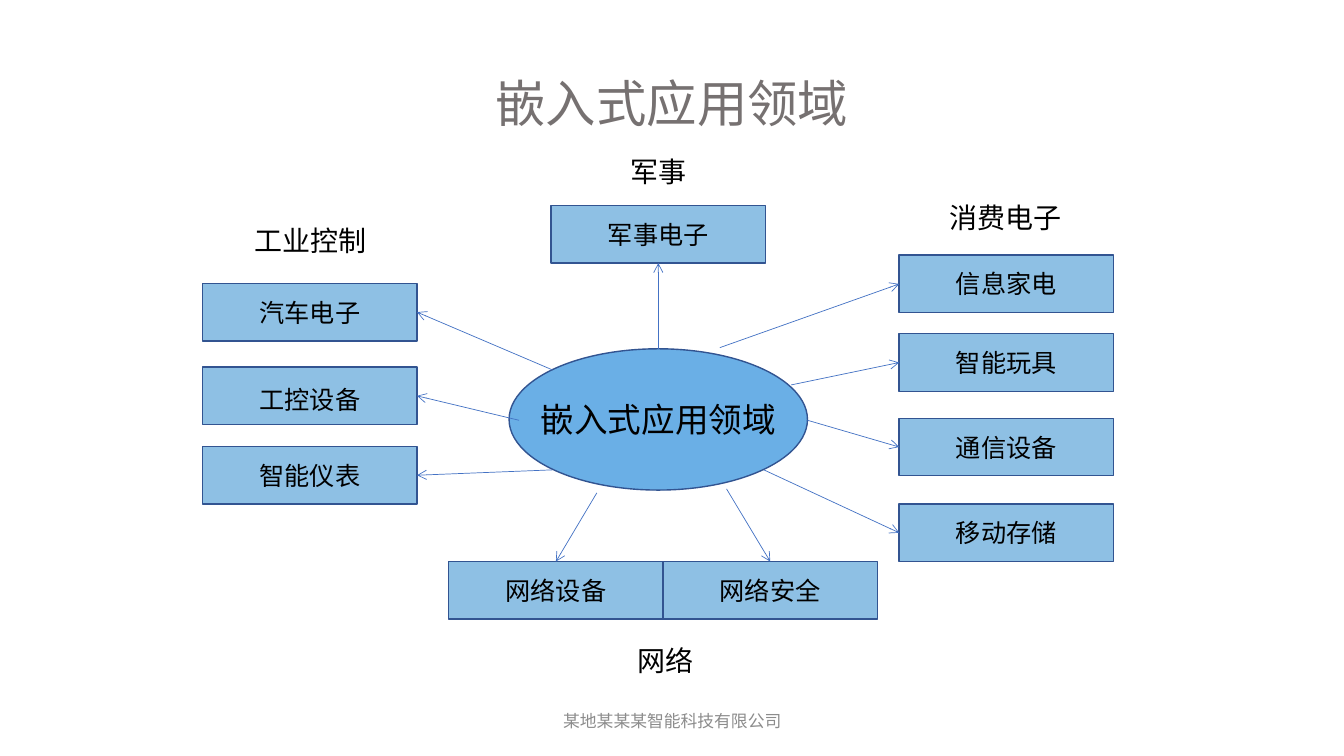
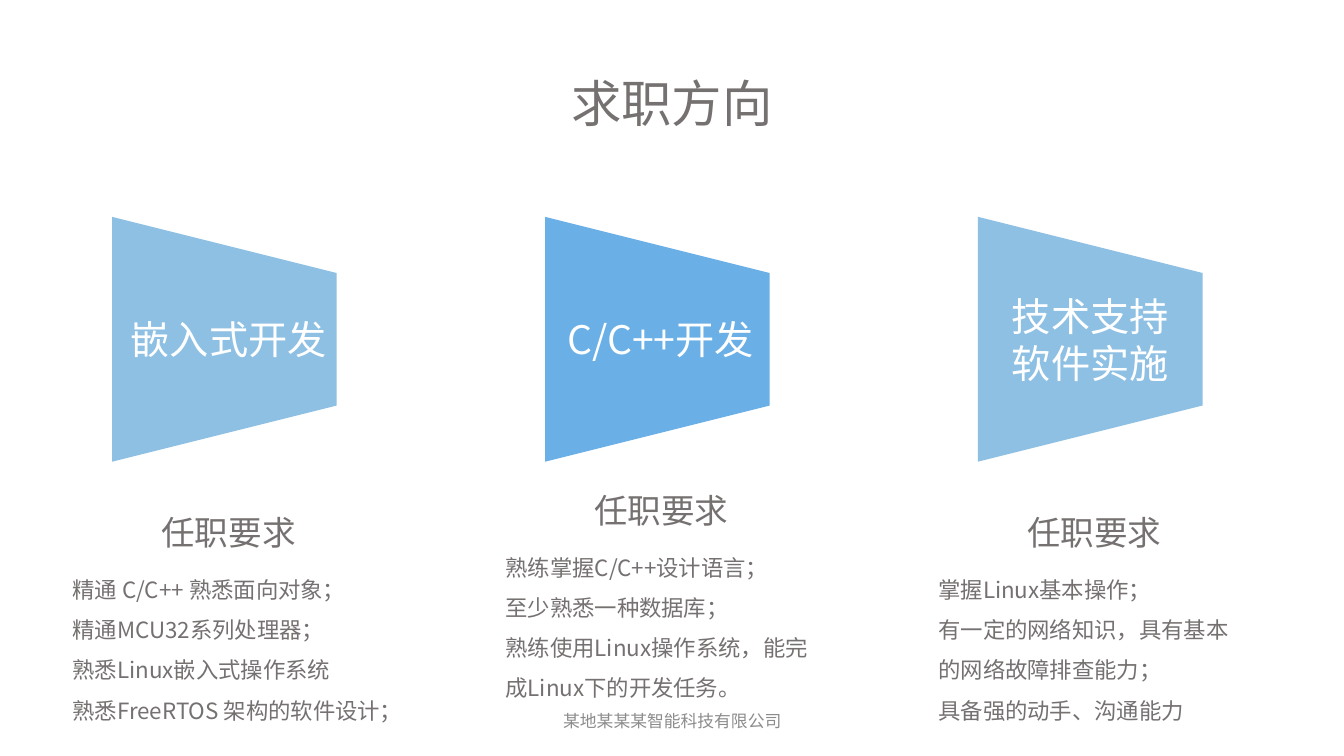
from lxml import etree
from pptx import Presentation
from pptx.dml.color import RGBColor
from pptx.enum.shapes import MSO_CONNECTOR, MSO_SHAPE
from pptx.enum.text import MSO_ANCHOR, PP_ALIGN
from pptx.oxml.ns import qn
from pptx.util import Cm, Pt

LEFT, CENTER, RIGHT = PP_ALIGN.LEFT, PP_ALIGN.CENTER, PP_ALIGN.RIGHT
TOP, MIDDLE = MSO_ANCHOR.TOP, MSO_ANCHOR.MIDDLE
RECTANGLE, ELLIPSE, TRAPEZOID = MSO_SHAPE.RECTANGLE, MSO_SHAPE.OVAL, MSO_SHAPE.TRAPEZOID
STRAIGHT = MSO_CONNECTOR.STRAIGHT
# Connection sites of a rectangle
SITE_TOP, SITE_LEFT, SITE_BOTTOM, SITE_RIGHT = range(4)

# Shared style, lengths in cm
FONT = "Noto Sans CJK SC"
GREY, FOOTER_GREY, BLACK, WHITE = "767171", "8C8C8C", "000000", "FFFFFF"
SKY, BLUE, OUTLINE, ARROW = "8EC0E4", "6AAFE6", "325491", "4472C4"
PAGE_W, PAGE_H = 33.87, 19.05
TITLE_TOP, TITLE_H = 1.7, 1.8
FOOTER_AT = (11.23, 17.65, 11.43, 1.02)
FOOTER = "某地某某某智能科技有限公司"

# Content of the field map
FIELDS_TITLE = "嵌入式应用领域"
HUB_AT = (12.83, 8.79, 7.52, 3.56)
BOX_W, BOX_H = 5.4, 1.45
HEADING_W, HEADING_H = 4.5, 1.12
# heading, its centre and top, arrow site, boxes: (text, left, top, arrow start, text drop)
FIELDS = [
    ("工业控制", 7.82, 5.51, SITE_RIGHT, [
        ("汽车电子", 5.11, 7.14, (13.92, 9.32), 0),
        ("工控设备", 5.11, 9.25, (13.08, 10.59), 0.18),
        ("智能仪表", 5.11, 11.25, (13.92, 11.84), 0)]),
    ("军事", 16.6, 3.78, SITE_BOTTOM, [
        ("军事电子", 13.89, 5.18, (16.59, 8.79), 0)]),
    ("网络", 16.78, 16.08, SITE_TOP, [
        ("网络设备", 11.31, 14.15, (15.04, 12.42), 0),
        ("网络安全", 11.31 + BOX_W, 14.15, (18.31, 12.32), 0)]),
    ("消费电子", 25.35, 4.93, SITE_LEFT, [
        ("信息家电", 22.66, 6.43, (18.14, 8.76), 0),
        ("智能玩具", 22.66, 8.41, (19.94, 9.7), 0),
        ("通信设备", 22.66, 10.54, (20.35, 10.59), 0),
        ("移动存储", 22.66, 12.7, (19.25, 11.84), 0)]),
]

# Content of the job columns
JOBS_TITLE = "求职方向"
REQUIREMENTS = "任职要求"
COLUMN_LEFT, COLUMN_PITCH = 2.57, 10.91
TRAPEZOID_TOP, TRAPEZOID_W, TRAPEZOID_H = 5.72, 6.17, 5.66
# name lines, colour, name shift, top of requirements, text width, requirements
JOBS = [
    (["嵌入式开发"], SKY, 0.11, 12.78, 10.11, [
        "精通 C/C++ 熟悉面向对象；",
        "精通MCU32系列处理器；",
        "熟悉Linux嵌入式操作系统",
        "熟悉FreeRTOS 架构的软件设计；"]),
    (["C/C++开发"], BLUE, 0.08, 12.22, 8.15, [
        "熟练掌握C/C++设计语言；",
        "至少熟悉一种数据库；",
        "熟练使用Linux操作系统，能完成Linux下的开发任务。"]),
    (["技术支持", "软件实施"], SKY, 0, 12.78, 8.15, [
        "掌握Linux基本操作；",
        "有一定的网络知识，具有基本的网络故障排查能力；",
        "具备强的动手、沟通能力"]),
]


def rgb(value):
    return RGBColor.from_string(value)


def write(box, lines, size, color, align=LEFT, anchor=TOP, wrap=True, spacing=None):
    frame = box.text_frame
    frame.word_wrap = wrap
    frame.vertical_anchor = anchor
    for index, line in enumerate(lines):
        para = frame.add_paragraph() if index else frame.paragraphs[0]
        para.alignment = align
        if spacing:
            para.line_spacing = spacing
        span = para.add_run()
        span.text = line
        span.font.size = Pt(size)
        span.font.color.rgb = rgb(color)
        span.font.name = FONT
        east_asian = etree.SubElement(span.font._element, qn("a:ea"))
        east_asian.set("typeface", FONT)


def add_text(page, at, lines, size, color, **layout):
    box = page.shapes.add_textbox(*map(Cm, at))
    write(box, lines, size, color, **layout)


def add_block(page, kind, at, fill, outline=None):
    block = page.shapes.add_shape(kind, *map(Cm, at))
    block.shadow.inherit = False
    block.fill.solid()
    block.fill.fore_color.rgb = rgb(fill)
    if outline:
        block.line.color.rgb = rgb(outline)
        block.line.width = Pt(1)
    else:
        block.line.fill.background()
    return block


def add_arrow(page, start, target, site):
    x, y = map(Cm, start)
    arrow = page.shapes.add_connector(STRAIGHT, x, y, x, y)
    arrow.end_connect(target, site)
    arrow.line.color.rgb = rgb(ARROW)
    arrow.line.width = Pt(0.5)
    etree.SubElement(arrow.line._get_or_add_ln(), qn("a:tailEnd")).set("type", "arrow")
    etree.SubElement(arrow._element.spPr, qn("a:effectLst"))


def add_page(deck, title):
    page = deck.slides.add_slide(deck.slide_layouts[6])
    add_text(page, (0, TITLE_TOP, PAGE_W, TITLE_H), [title], 36, GREY, align=CENTER)
    add_text(page, FOOTER_AT, [FOOTER], 12, FOOTER_GREY, align=CENTER, anchor=MIDDLE)
    return page


def build_fields(deck):
    page = add_page(deck, FIELDS_TITLE)
    hub = add_block(page, ELLIPSE, HUB_AT, BLUE, OUTLINE)
    write(hub, [FIELDS_TITLE], 24, BLACK, align=CENTER, anchor=MIDDLE, wrap=False)
    for heading, center, top, site, boxes in FIELDS:
        add_text(page, (center - HEADING_W / 2, top, HEADING_W, HEADING_H),
                 [heading], 20, BLACK, align=CENTER)
        for text, left, box_top, start, drop in boxes:
            box = add_block(page, RECTANGLE, (left, box_top, BOX_W, BOX_H), SKY, OUTLINE)
            write(box, [text], 18, BLACK, align=CENTER, anchor=MIDDLE)
            box.text_frame.margin_top += Cm(drop)
            add_arrow(page, start, box, site)


def build_jobs(deck):
    page = add_page(deck, JOBS_TITLE)
    for index, (name, color, shift, top, width, lines) in enumerate(JOBS):
        left = COLUMN_LEFT + index * COLUMN_PITCH
        area = (left, TRAPEZOID_TOP, TRAPEZOID_W, TRAPEZOID_H)
        add_block(page, TRAPEZOID, area, color).rotation = 90
        # The name stays upright over the turned trapezoid
        add_text(page, (left + shift, *area[1:]), name, 28, WHITE,
                 align=CENTER, anchor=MIDDLE)
        add_text(page, (left + 1.04, top, 4.09, 1.27), [REQUIREMENTS], 24, GREY, align=RIGHT)
        add_text(page, (left - 0.99, top + 1.27, width, 4.37), lines, 16, GREY, spacing=1.5)


def main():
    deck = Presentation()
    deck.slide_width, deck.slide_height = Cm(PAGE_W), Cm(PAGE_H)
    build_fields(deck)
    build_jobs(deck)
    deck.save("out.pptx")


if __name__ == "__main__":
    main()
